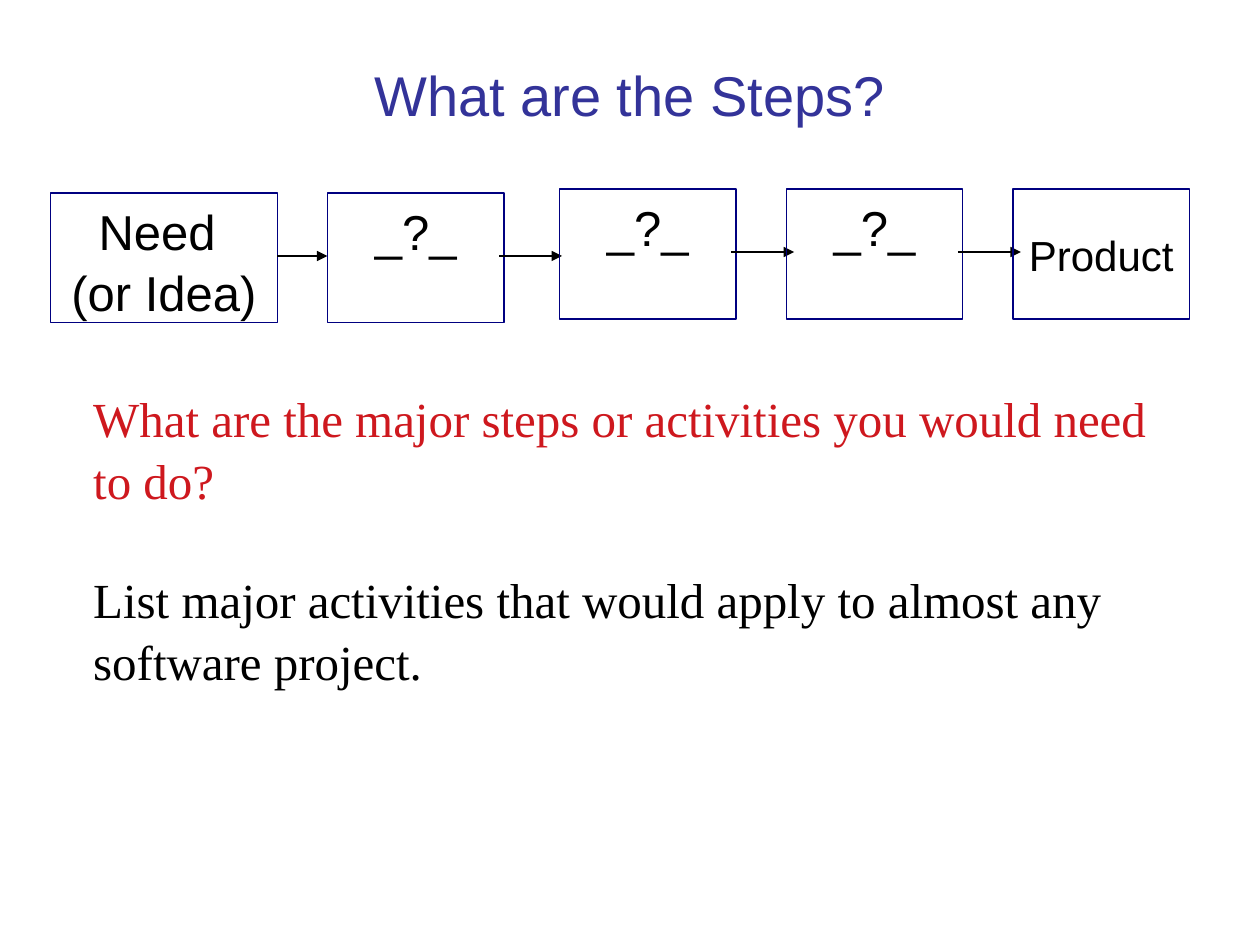
from lxml.etree import SubElement
from pptx import Presentation
from pptx.dml.color import RGBColor
from pptx.enum.shapes import MSO_CONNECTOR, MSO_SHAPE
from pptx.enum.text import MSO_ANCHOR, PP_ALIGN
from pptx.oxml.ns import qn
from pptx.util import Cm, Pt


def paint(color):
    return RGBColor.from_string(color)


def write(shape, lines, size, face, align, anchor, lead=1.0, gap=0):
    frame = shape.text_frame
    frame.word_wrap = True
    frame.vertical_anchor = anchor
    for i, (text, color) in enumerate(lines):
        para = frame.add_paragraph() if i else frame.paragraphs[0]
        para.text = text
        para.alignment = align
        para.line_spacing = lead
        if i:
            para.space_before = Pt(gap)
        font = para.font
        font.size, font.name = Pt(size), face
        font.color.rgb = paint(color)


def add_title(slide, left, top, width, height):
    box = slide.shapes.add_textbox(Cm(left), Cm(top), Cm(width), Cm(height))
    write(box, [("What are the Steps?", "333399")], 32, "Arial",
          PP_ALIGN.CENTER, MSO_ANCHOR.MIDDLE)


def add_step(slide, left, top, width, height, text, size, anchor):
    box = slide.shapes.add_shape(MSO_SHAPE.RECTANGLE, Cm(left), Cm(top),
                                 Cm(width), Cm(height))
    box.shadow.inherit = False
    box.fill.background()
    box.line.color.rgb = paint("000080")
    box.line.width = Pt(0.75)
    write(box, [(text, "000000")], size, "Arial", PP_ALIGN.CENTER, anchor, 1.04)


def add_arrow(slide, start, end, level):
    arrow = slide.shapes.add_connector(MSO_CONNECTOR.STRAIGHT, Cm(start),
                                       Cm(level), Cm(end), Cm(level))
    arrow.line.color.rgb = paint("000000")
    arrow.line.width = Pt(0.75)
    SubElement(arrow.line._get_or_add_ln(), qn("a:tailEnd"), type="triangle")
    SubElement(arrow._element.spPr, qn("a:effectLst"))


def add_flow(slide, left, top, height):
    high, low = top, top + 0.08
    steps = [
        (0, low, 4.57, "Need \v(or Idea)", 28, MSO_ANCHOR.TOP),
        (5.58, low, 3.56, "_?_", 28, MSO_ANCHOR.TOP),
        (10.26, high, 3.56, "_?_", 28, MSO_ANCHOR.TOP),
        (14.83, high, 3.56, "_?_", 28, MSO_ANCHOR.TOP),
        (19.4, high, 3.56, "Product", 24, MSO_ANCHOR.MIDDLE),
    ]
    for i, (x, y, width, text, size, anchor) in enumerate(steps):
        add_step(slide, left + x, y, width, height, text, size, anchor)
        if i < len(steps) - 1:
            edge = left + x + width
            start, end = (edge - 0.1, edge + 1.17) if i else (edge, edge + 1.01)
            add_arrow(slide, start, end, y + 1.27)


def add_task(slide, left, top, width, height):
    box = slide.shapes.add_textbox(Cm(left), Cm(top), Cm(width), Cm(height))
    lines = [
        ("What are the major steps or activities you would need to do?", "CE181E"),
        ("List major activities that would apply to almost any software project.",
         "000000"),
    ]
    write(box, lines, 28, "Times New Roman", PP_ALIGN.LEFT, MSO_ANCHOR.TOP,
          1.04, 33.5)


def main():
    deck = Presentation()
    deck.slide_width, deck.slide_height = Cm(25.4), Cm(19.05)
    slide = deck.slides.add_slide(deck.slide_layouts[6])
    add_title(slide, 1.7, 0.71, 22, 2.39)
    add_flow(slide, 1.02, 3.81, 2.62)
    add_task(slide, 1.63, 7.67, 21.84, 5)
    deck.save("out.pptx")


if __name__ == "__main__":
    main()
